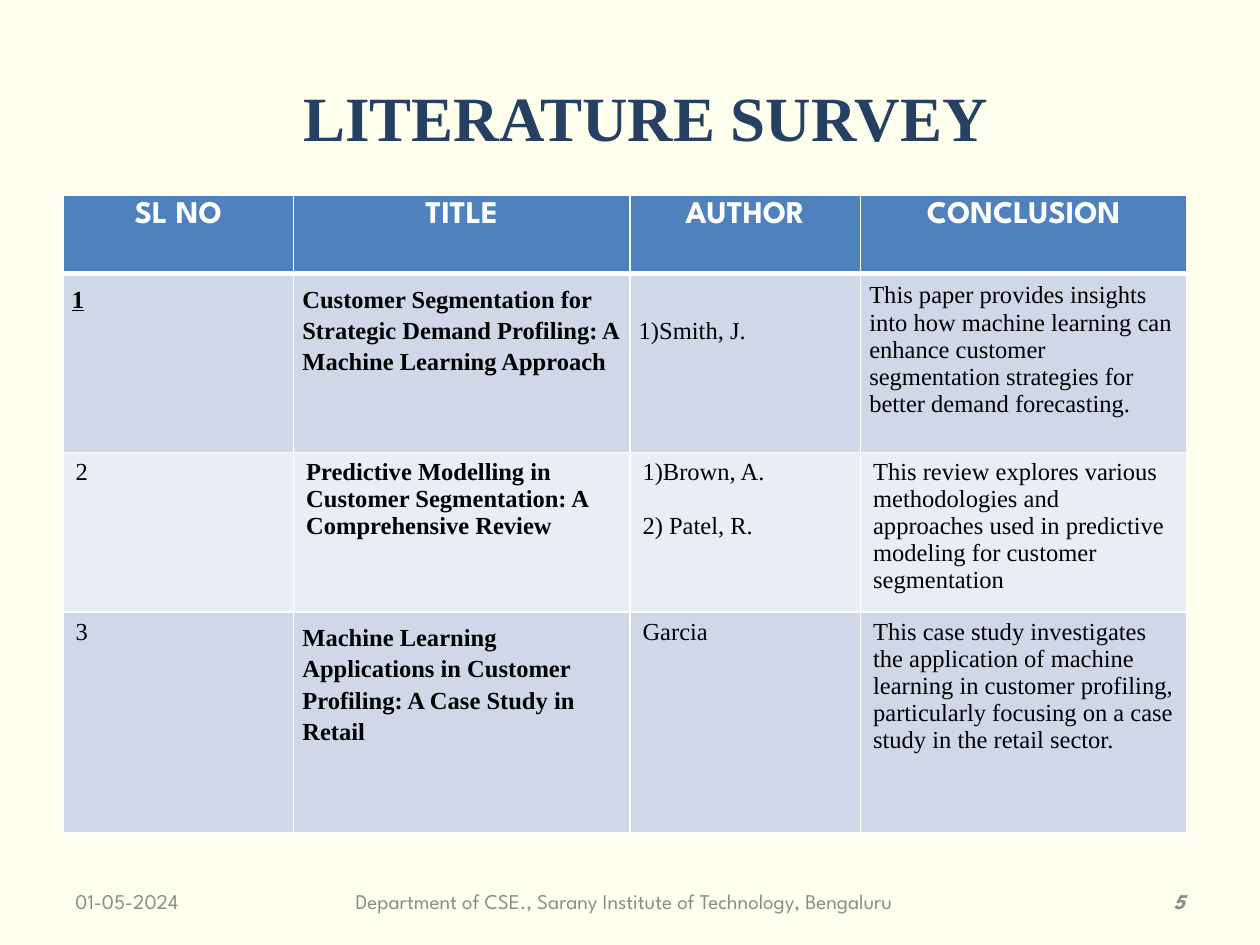
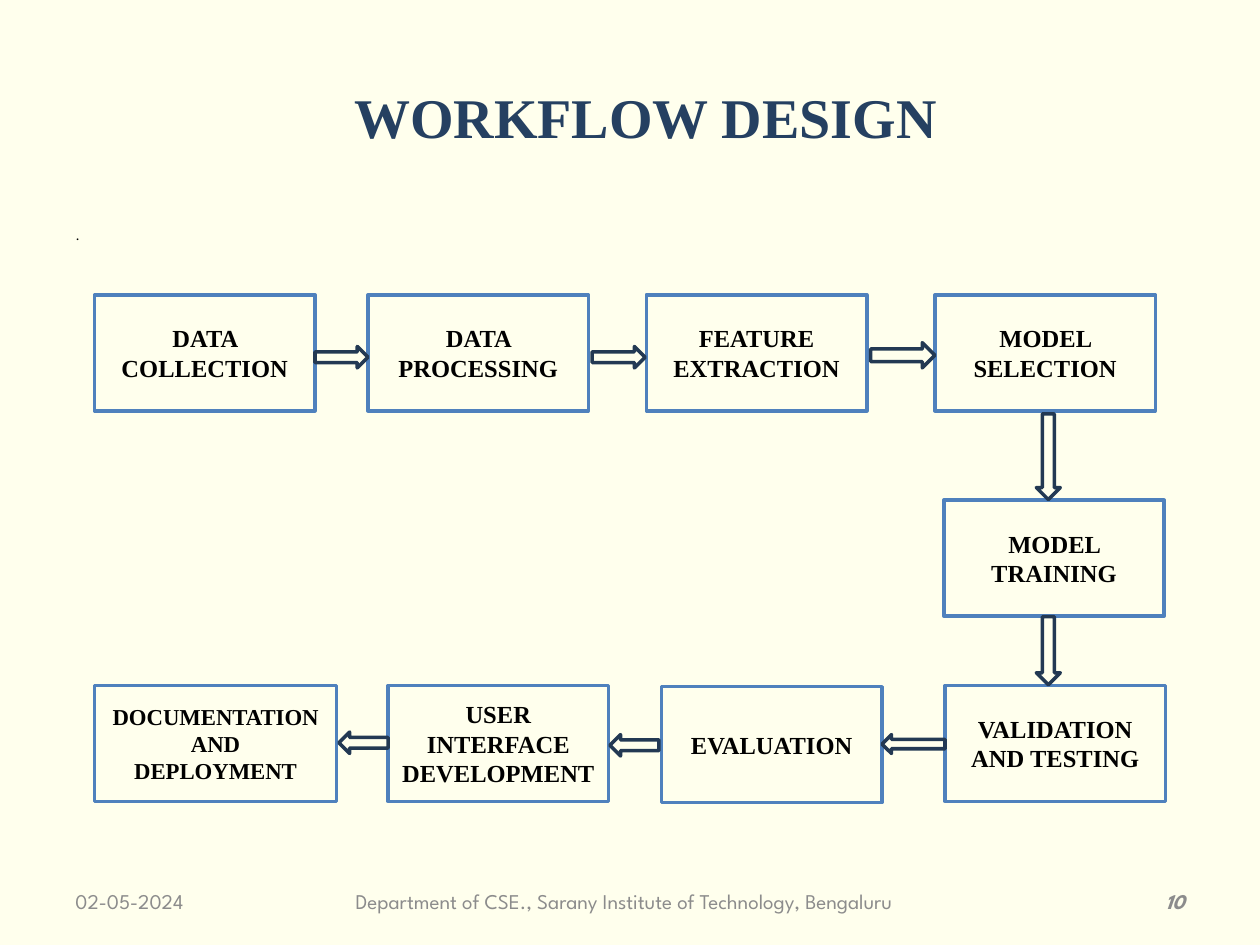
from lxml.etree import SubElement
from pptx import Presentation
from pptx.dml.color import RGBColor
from pptx.enum.shapes import MSO_SHAPE as Shape
from pptx.enum.text import MSO_ANCHOR as Anchor, PP_ALIGN as Align
from pptx.oxml.ns import qn
from pptx.util import Inches, Pt

SERIF = "Times New Roman"
SANS = "League Spartan"
BACKGROUND = "FFFFED"
NAVY = "254061"
BLUE = "4F81BD"
ARROW_LINE = "233953"
GREY = "8C8C8C"
BLACK = "000000"
WHITE = "FFFFFF"
ROW_FILLS = ["D0D8E8", "E9EDF4"]
FOOTER = "Department of CSE., Sarany Institute of Technology, Bengaluru"

HEADINGS = ["SL NO", "TITLE", "AUTHOR", "CONCLUSION"]
PAPERS = [
    ["1",
     "Customer Segmentation for Strategic Demand Profiling: A Machine Learning Approach",
     "1)Smith, J.",
     "This paper provides insights into how machine learning can enhance customer "
     "segmentation strategies for better demand forecasting."],
    ["2",
     "Predictive Modelling in Customer Segmentation: A Comprehensive Review",
     "1)Brown, A.\n2) Patel, R.",
     "This review explores various methodologies and approaches used in predictive "
     "modeling for customer segmentation"],
    ["3",
     "Machine Learning Applications in Customer Profiling: A Case Study in Retail",
     "Garcia",
     "This case study investigates the application of machine learning in customer "
     "profiling, particularly focusing on a case study in the retail sector."],
]
COLUMN_WIDTHS = [1.83, 2.67, 1.83, 2.59]
ROW_HEIGHTS = [0.62, 1.42, 1.27, 1.75]
SPACED_CELLS = {(1, 0), (1, 1), (1, 2), (3, 1)}

BOX_SIZE = (1.75, 0.92)
TOP_ROW, MIDDLE_ROW, BOTTOM_ROW = 2.34, 3.97, 5.44
STEPS = [
    ("DATA COLLECTION", 0.75, TOP_ROW),
    ("DATA PROCESSING", 2.92, TOP_ROW),
    ("FEATURE EXTRACTION", 5.13, TOP_ROW),
    ("MODEL SELECTION", 7.42, TOP_ROW),
    ("MODEL TRAINING", 7.49, MIDDLE_ROW),
    ("VALIDATION AND TESTING", 7.5, BOTTOM_ROW),
    ("EVALUATION", 5.25, BOTTOM_ROW + 0.01),
    ("USER INTERFACE DEVELOPMENT", 3.08, BOTTOM_ROW),
]
ARROWS = [
    (2.5, 2.75, 0.42, 0.17, 0),
    (4.7, 2.75, 0.42, 0.17, 0),
    (6.91, 2.72, 0.51, 0.2, 0),
    (7.98, 3.53, 0.68, 0.19, 90),
    (8.05, 5.07, 0.54, 0.19, 90),
    (7, 5.83, 0.5, 0.15, 180),
    (4.84, 5.83, 0.39, 0.17, 180),
    (2.69, 5.81, 0.39, 0.17, 180),
]


def color(value):
    return RGBColor.from_string(value)


def place(shape, left, top, width, height):
    shape.left, shape.top = Inches(left), Inches(top)
    shape.width, shape.height = Inches(width), Inches(height)


def format_text(text_frame, size, font_name=SERIF, font_color=BLACK, bold=False,
                italic=False, underline=False, align=Align.LEFT):
    for paragraph in text_frame.paragraphs:
        paragraph.alignment = align
        for run in paragraph.runs:
            font = run.font
            font.size, font.name = Pt(size), font_name
            font.bold, font.italic, font.underline = bold, italic, underline
            font.color.rgb = color(font_color)


def add_footer_text(slide, text, left, width, align, emphasis=False):
    box = slide.shapes.add_textbox(Inches(left), Inches(6.95), Inches(width), Inches(0.4))
    frame = box.text_frame
    frame.word_wrap = True
    frame.vertical_anchor = Anchor.MIDDLE
    frame.text = text
    format_text(frame, 12, SANS, GREY, emphasis, emphasis, align=align)


def add_slide(presentation, layout_index, title, title_size, date, number):
    slide = presentation.slides.add_slide(presentation.slide_layouts[layout_index])
    slide.background.fill.solid()
    slide.background.fill.fore_color.rgb = color(BACKGROUND)
    heading = slide.shapes.title
    place(heading, 1.5, 0.3, 7.25, 1.25)
    heading.text_frame.text = title
    heading.text_frame.vertical_anchor = Anchor.MIDDLE
    format_text(heading.text_frame, title_size, SERIF, NAVY, True, align=Align.CENTER)
    add_footer_text(slide, date, 0.5, 1.17, Align.LEFT)
    add_footer_text(slide, FOOTER, 2.08, 5.75, Align.CENTER)
    add_footer_text(slide, number, 8.25, 1.25, Align.RIGHT, True)
    return slide


def set_cell_look(cell, fill, widths):
    properties = cell._tc.get_or_add_tcPr()
    for side, width in widths.items():
        line = SubElement(properties, qn(f"a:{side}"), w=str(Pt(width)))
        solid = SubElement(line, qn("a:solidFill"))
        SubElement(solid, qn("a:srgbClr"), val=WHITE)
    cell.fill.solid()
    cell.fill.fore_color.rgb = color(fill)


def fill_heading_cell(cell, text):
    cell.text_frame.text = text
    format_text(cell.text_frame, 18, SANS, WHITE, True, align=Align.CENTER)
    set_cell_look(cell, BLUE, {"lnL": 1, "lnR": 1, "lnT": 1, "lnB": 3})


def fill_paper_cell(cell, text, row, column):
    cell.text_frame.text = text
    is_first_number = (row, column) == (1, 0)
    format_text(cell.text_frame, 14, bold=column == 1 or is_first_number,
                underline=is_first_number)
    if row == 1 or (row, column) in SPACED_CELLS:
        cell.margin_left = cell.margin_right = Inches(0.07)
        cell.margin_top = cell.margin_bottom = Inches(0.07)
    if (row, column) in SPACED_CELLS:
        cell.text_frame.paragraphs[0].line_spacing = 1.15
    if (row, column) == (1, 2):
        cell.margin_top = Inches(0.32)
    for paragraph in cell.text_frame.paragraphs[1:]:
        paragraph.space_before = Pt(15.5)
    set_cell_look(cell, ROW_FILLS[(row - 1) % 2],
                  {"lnL": 1, "lnR": 1, "lnT": 3 if row == 1 else 1, "lnB": 1})


def add_survey_table(slide):
    frame = slide.shapes.add_table(
        len(ROW_HEIGHTS), len(COLUMN_WIDTHS), Inches(0.5), Inches(1.55),
        Inches(sum(COLUMN_WIDTHS)), Inches(sum(ROW_HEIGHTS)))
    table = frame.table
    for column, width in zip(table.columns, COLUMN_WIDTHS):
        column.width = Inches(width)
    for row, height in zip(table.rows, ROW_HEIGHTS):
        row.height = Inches(height)
    for column, heading in enumerate(HEADINGS):
        fill_heading_cell(table.cell(0, column), heading)
    for row, paper in enumerate(PAPERS, 1):
        for column, text in enumerate(paper):
            fill_paper_cell(table.cell(row, column), text, row, column)


def add_outlined_shape(slide, kind, left, top, width, height, line_color):
    shape = slide.shapes.add_shape(
        kind, Inches(left), Inches(top), Inches(width), Inches(height))
    shape.shadow.inherit = False
    shape.fill.solid()
    shape.fill.fore_color.rgb = color(BACKGROUND)
    shape.line.color.rgb = color(line_color)
    shape.line.width = Pt(2)
    return shape


def add_step(slide, text, left, top, width=BOX_SIZE[0], size=14):
    box = add_outlined_shape(slide, Shape.RECTANGLE, left, top, width, BOX_SIZE[1], BLUE)
    box.text_frame.text = text
    box.text_frame.word_wrap = True
    box.text_frame.vertical_anchor = Anchor.MIDDLE
    format_text(box.text_frame, size, bold=True, align=Align.CENTER)


def add_block_arrow(slide, left, top, width, height, rotation):
    arrow = add_outlined_shape(
        slide, Shape.RIGHT_ARROW, left, top, width, height, ARROW_LINE)
    arrow.rotation = rotation
    return arrow


def fill_body(slide, text):
    body = slide.placeholders[1]
    place(body, 0.5, 1.75, 9, 4.95)
    body.text_frame.text = text
    format_text(body.text_frame, 8, SANS)
    properties = body.text_frame.paragraphs[0]._p.get_or_add_pPr()
    properties.set("marL", "0")
    properties.set("indent", "0")
    SubElement(properties, qn("a:buNone"))


def main():
    presentation = Presentation()
    presentation.slide_width = Inches(10)
    presentation.slide_height = Inches(7.5)

    survey = add_slide(presentation, 5, "LITERATURE SURVEY", 36, "01-05-2024", "5")
    add_survey_table(survey)

    workflow = add_slide(presentation, 1, "WORKFLOW DESIGN", 32, "02-05-2024", "10")
    fill_body(workflow, ".")
    for text, left, top in STEPS:
        add_step(workflow, text, left, top)
    add_step(workflow, "DOCUMENTATION AND DEPLOYMENT", 0.75, BOTTOM_ROW, 1.92, 13)
    for arrow in ARROWS:
        add_block_arrow(workflow, *arrow)

    presentation.save("out.pptx")


if __name__ == "__main__":
    main()
